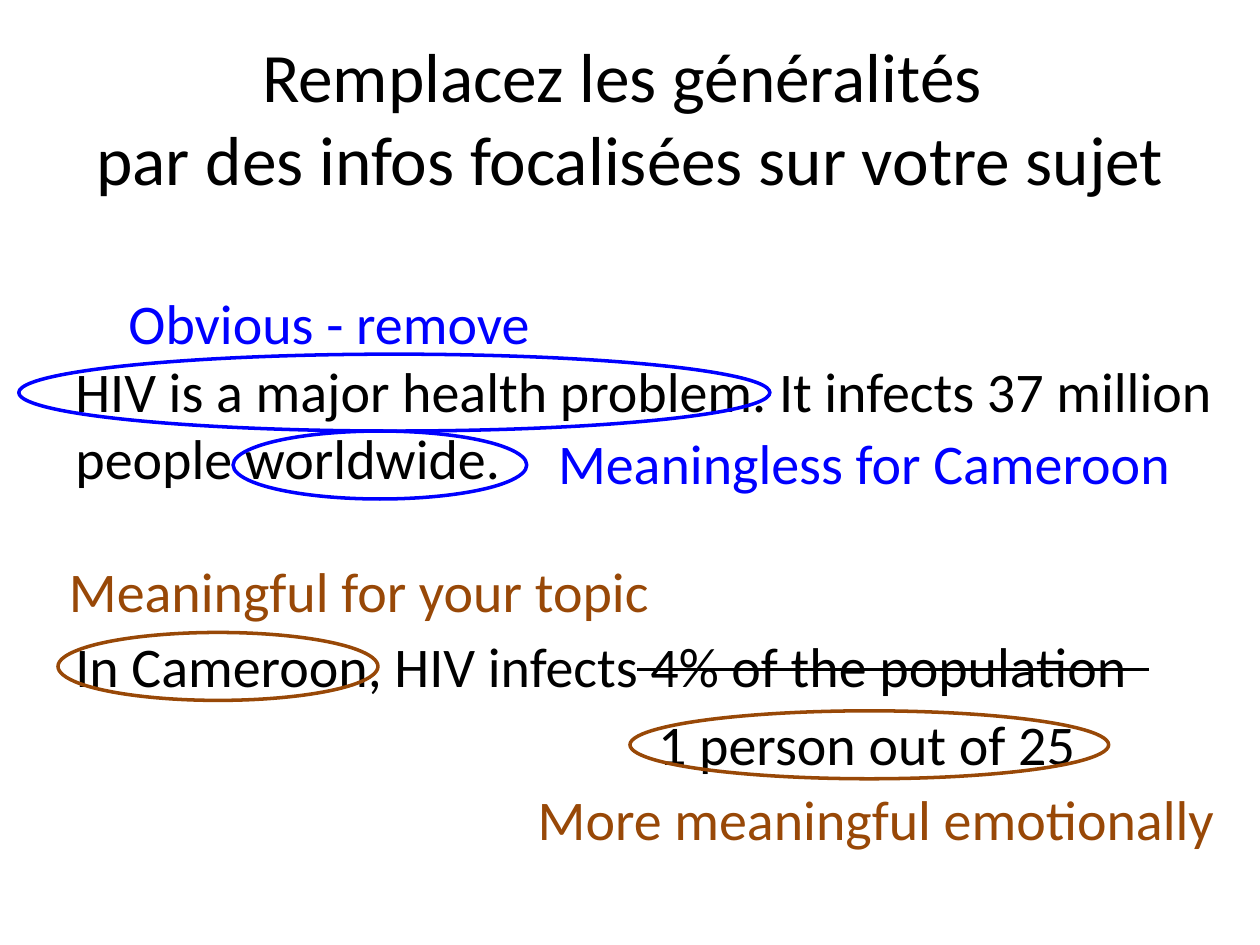
from pptx import Presentation
from pptx.dml.color import RGBColor
from pptx.enum import shapes, text
from pptx.oxml import xmlchemy as xml
from pptx.util import Cm, Pt

BLACK = RGBColor(0, 0, 0)
BLUE = RGBColor(0, 0, 255)
BROWN = RGBColor(0x98, 0x48, 0x07)
FONT = "Calibri"

TITLE = "Remplacez les généralités \vpar des infos focalisées sur votre sujet"

# Texts: left, top, width, height (cm), colour, lines of (indent, wording)
TEXTS = [
    (1.27, 7.06, 23.75, 3.12, BLACK,
     [(0, "HIV is a major health problem. It infects 37 million people worldwide.")]),
    (2.34, 5.69, 10.52, 1.63, BLUE, [(0, "Obvious - remove")]),
    (11, 8.51, 13.74, 1.63, BLUE, [(0, "Meaningless for Cameroon")]),
    (1.14, 11.1, 12.78, 1.63, BROWN, [(0, "Meaningful for your topic")]),
    (1.27, 12.6, 22.86, 4.01, BLACK,
     [(0, "In Cameroon, HIV infects 4% of the population"),
      (11.75, "1 person out of 25")]),
    (10.59, 15.7, 14.81, 1.63, BROWN, [(0, "More meaningful emotionally")]),
]

# Rings around phrases: left, top, width, height (cm), colour
RINGS = [
    (0.38, 7.14, 15.14, 1.55, BLUE),
    (4.7, 8.69, 5.92, 1.37, BLUE),
    (1.17, 12.75, 6.45, 1.37, BROWN),
    (12.7, 14.33, 9.65, 1.37, BROWN),
]

# Strike through the percentage: left, right, height on the slide (cm)
STRIKE = (12.85, 23.16, 13.49)


def style(para, size, color):
    para.font.name = FONT
    para.font.size = Pt(size)
    para.font.color.rgb = color


def add_text(slide, left, top, width, height, color, lines):
    box = slide.shapes.add_textbox(Cm(left), Cm(top), Cm(width), Cm(height))
    frame = box.text_frame
    frame.word_wrap = True
    frame.text = "\n".join(words for _, words in lines)
    for para, (indent, _) in zip(frame.paragraphs, lines):
        style(para, 32, color)
        para.space_before = Pt(6.4)
        if indent:
            para._p.get_or_add_pPr().set("marL", str(Cm(indent)))


def add_ring(slide, left, top, width, height, color):
    ring = slide.shapes.add_shape(
        shapes.MSO_SHAPE.OVAL, Cm(left), Cm(top), Cm(width), Cm(height))
    ring.shadow.inherit = False
    ring.fill.background()
    ring.line.color.rgb = color
    ring.line.width = Pt(2)


def add_strike(slide, left, right, y):
    line = slide.shapes.add_connector(
        shapes.MSO_CONNECTOR.STRAIGHT, Cm(left), Cm(y), Cm(right), Cm(y))
    line.line.color.rgb = BLACK
    line.line.width = Pt(1.5)
    line._element.spPr.append(xml.OxmlElement("a:effectLst"))


def main():
    prs = Presentation()
    prs.slide_width, prs.slide_height = Cm(25.4), Cm(19.05)
    slide = prs.slides.add_slide(prs.slide_layouts[5])

    # Title
    title = slide.shapes.title
    title.left, title.top = Cm(1.27), Cm(0.76)
    title.width, title.height = Cm(22.86), Cm(3.18)
    frame = title.text_frame
    frame.text = TITLE
    frame.auto_size = text.MSO_AUTO_SIZE.NONE
    frame.vertical_anchor = text.MSO_ANCHOR.MIDDLE
    frame.paragraphs[0].alignment = text.PP_ALIGN.CENTER
    style(frame.paragraphs[0], 39.6, BLACK)

    # Sentences and remarks, then the marks on them
    for item in TEXTS:
        add_text(slide, *item)
    for ring in RINGS:
        add_ring(slide, *ring)
    add_strike(slide, *STRIKE)

    prs.save("out.pptx")


if __name__ == "__main__":
    main()
